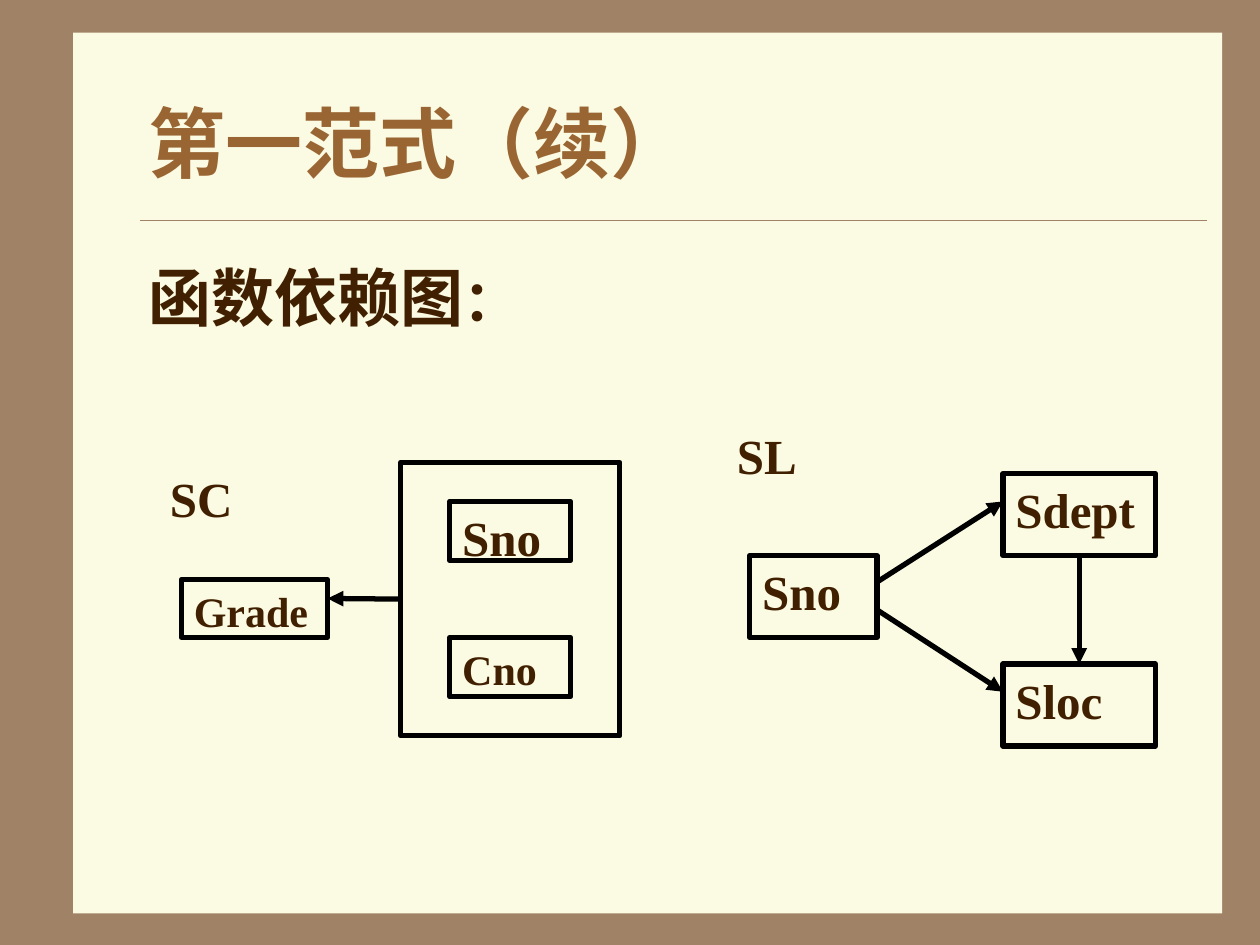
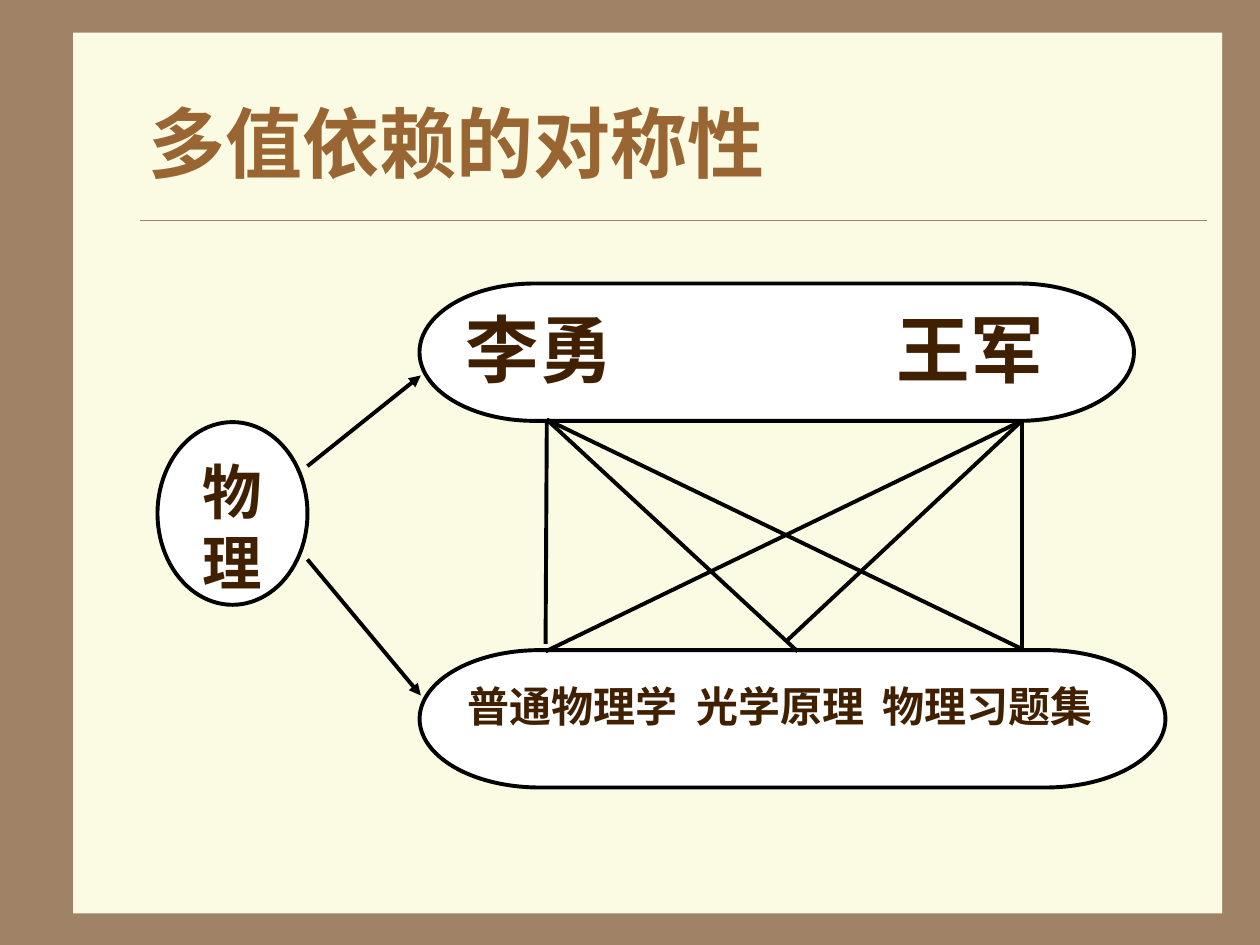
"""Two database slides: a functional dependency diagram and multivalued dependency symmetry."""
from lxml import etree
from pptx import Presentation
from pptx.dml.color import RGBColor
from pptx.enum.shapes import MSO_CONNECTOR, MSO_SHAPE
from pptx.enum.text import MSO_ANCHOR, MSO_AUTO_SIZE, PP_ALIGN
from pptx.oxml.ns import qn
from pptx.util import Inches, Pt

STRAIGHT = MSO_CONNECTOR.STRAIGHT
RECT, OVAL, PILL = MSO_SHAPE.RECTANGLE, MSO_SHAPE.OVAL, MSO_SHAPE.FLOWCHART_TERMINATOR
TOP, MIDDLE = MSO_ANCHOR.TOP, MSO_ANCHOR.MIDDLE
LEFT, CENTER = PP_ALIGN.LEFT, PP_ALIGN.CENTER
TOP_SIDE, LEFT_SIDE, BOTTOM_SIDE = 0, 1, 2

COLORS = {key: RGBColor.from_string(value) for key, value in {
    "border": "A08366", "paper": "FBFAE2", "title": "996633",
    "text": "402000", "ink": "000000", "white": "FFFFFF"}.items()}

prs = Presentation()
prs.slide_width, prs.slide_height = Inches(10), Inches(7.5)
COL, ROW = prs.slide_width / 100, prs.slide_height / 75


def write(paragraph, text, size, color="text", align=LEFT):
    """Append a bold run to a paragraph."""
    paragraph.alignment = align
    run = paragraph.add_run()
    run.text = text
    for attribute, value in {"name": "Times New Roman", "size": Pt(size), "bold": True}.items():
        setattr(run.font, attribute, value)
    run.font.color.rgb = COLORS[color]


def add_line(slide, start, end, weight, color="ink", arrow=False):
    """Draw a straight line between two grid points."""
    (x1, y1), (x2, y2) = start, end
    line = slide.shapes.add_connector(
        STRAIGHT, int(x1 * COL), int(y1 * ROW), int(x2 * COL), int(y2 * ROW))
    line.line.color.rgb = COLORS[color]
    line.line.width = Pt(weight)
    properties = line._element.spPr
    if arrow:
        etree.SubElement(properties.find(qn("a:ln")), qn("a:tailEnd"), type="triangle")
    etree.SubElement(properties, qn("a:effectLst"))
    return line


background = prs.slide_master.background.fill
background.solid()
background.fore_color.rgb = COLORS["border"]

slides = []
for heading in ("第一范式（续）", "多值依赖的对称性"):
    slide = prs.slides.add_slide(prs.slide_layouts[5])
    slides.append(slide)
    paper = slide.shapes.add_shape(
        RECT, int(5.8 * COL), int(2.6 * ROW), int(91.2 * COL), int(69.9 * ROW))
    paper.shadow.inherit = False
    paper.fill.solid()
    paper.fill.fore_color.rgb = COLORS["paper"]
    paper.line.fill.background()
    rule = add_line(slide, (11.1, 17.5), (95.8, 17.5), 0.25, "border")
    for position, part in enumerate((paper, rule), 2):
        slide.shapes._spTree.insert(position, part._element)
    title = slide.shapes.title
    for attribute, value in {"left": 10.8 * COL, "top": 5 * ROW,
                             "width": 85 * COL, "height": 12.5 * ROW}.items():
        setattr(title, attribute, int(value))
    title.text_frame.auto_size = MSO_AUTO_SIZE.NONE
    title.text_frame.vertical_anchor = MIDDLE
    write(title.text_frame.paragraphs[0], heading, 44, "title")

dependency, symmetry = slides

for x, y, w, h, runs in (
        (10.8, 20, 85, 45, (("函数依赖图", 36), ("：", 32))),
        (12.5, 36.7, 9.7, 4.6, (("SC", 28),)),
        (57.5, 33.3, 12.1, 6.5, (("SL", 28),))):
    label = dependency.shapes.add_textbox(int(x * COL), int(y * ROW), int(w * COL), int(h * ROW))
    label.text_frame.word_wrap = True
    for text, size in runs:
        write(label.text_frame.paragraphs[0], text, size)

attributes = []
for x, y, w, h, text, size in (
        (31.8, 36.7, 17.4, 21.7, "", 28),
        (35.7, 39.8, 9.6, 4.7, "Sno", 28),
        (35.7, 50.6, 9.6, 4.7, "Cno", 24),
        (14.4, 46, 11.6, 4.6, "Grade", 24),
        (59.5, 44.1, 10.1, 6.5, "Sno", 28),
        (79.6, 37.6, 12.1, 6.5, "Sdept", 28),
        (79.6, 52.7, 12.1, 6.5, "Sloc", 28)):
    box = dependency.shapes.add_shape(RECT, int(x * COL), int(y * ROW), int(w * COL), int(h * ROW))
    box.shadow.inherit = False
    box.fill.background()
    box.line.color.rgb = COLORS["ink"]
    box.line.width = Pt(3)
    box.text_frame.vertical_anchor = TOP
    if text:
        write(box.text_frame.paragraphs[0], text, size)
    attributes.append(box)

course_key, sdept, sloc = attributes[0], attributes[5], attributes[6]
to_grade = add_line(dependency, (31.8, 47.5), (26, 47.5), 3, arrow=True)
to_grade.begin_connect(course_key, LEFT_SIDE)
for start_y, end_y in ((46.2, 39.8), (48.4, 54.9)):
    add_line(dependency, (69.6, start_y), (79.6, end_y), 3, arrow=True)
to_sloc = add_line(dependency, (85.7, 44.1), (85.7, 52.7), 3, arrow=True)
to_sloc.begin_connect(sdept, BOTTOM_SIDE)
to_sloc.end_connect(sloc, TOP_SIDE)

for kind, x, y, w, h, lines, size, align, inset, stops in (
        (OVAL, 12.5, 33.5, 11.9, 14.5, ("物", "理"), 34, CENTER, 0.5, ()),
        (PILL, 33.3, 51.6, 59.2, 10.9, ("普通物理学\t光学原理\t物理习题集",), 24, LEFT, 0.8,
         (18.2, 33)),
        (PILL, 33.3, 22.5, 56.7, 10.9, ("李勇\t王军",), 42, LEFT, 0, (34.2,))):
    value_set = symmetry.shapes.add_shape(
        kind, int(x * COL), int(y * ROW), int(w * COL), int(h * ROW))
    value_set.shadow.inherit = False
    value_set.fill.solid()
    value_set.fill.fore_color.rgb = COLORS["white"]
    value_set.line.color.rgb = COLORS["ink"]
    value_set.line.width = Pt(2.25)
    frame = value_set.text_frame
    frame.vertical_anchor = TOP
    frame.margin_top = int(inset * ROW)
    for number, text in enumerate(lines):
        paragraph = frame.add_paragraph() if number else frame.paragraphs[0]
        if stops:
            tabs = etree.SubElement(paragraph._p.get_or_add_pPr(), qn("a:tabLst"))
            for stop in stops:
                etree.SubElement(tabs, qn("a:tab"), pos=str(int(stop * COL)), algn="l")
        write(paragraph, text, size, align=align)

for start_y, end_y in ((37, 29.8), (44.4, 55.2)):
    add_line(symmetry, (24.4, start_y), (33.4, end_y), 2.25, arrow=True)

li_yong, wang_jun = (43.4, 33.3), (81.1, 33.4)
for teacher, books in ((li_yong, ((43.3, 51.1), (63.3, 51.7), (81.1, 51.5))),
                       (wang_jun, ((43.3, 51.7), (62.5, 50.8), (81.1, 51.5)))):
    for book in books:
        add_line(symmetry, teacher, book, 2.25)

prs.save("out.pptx")
